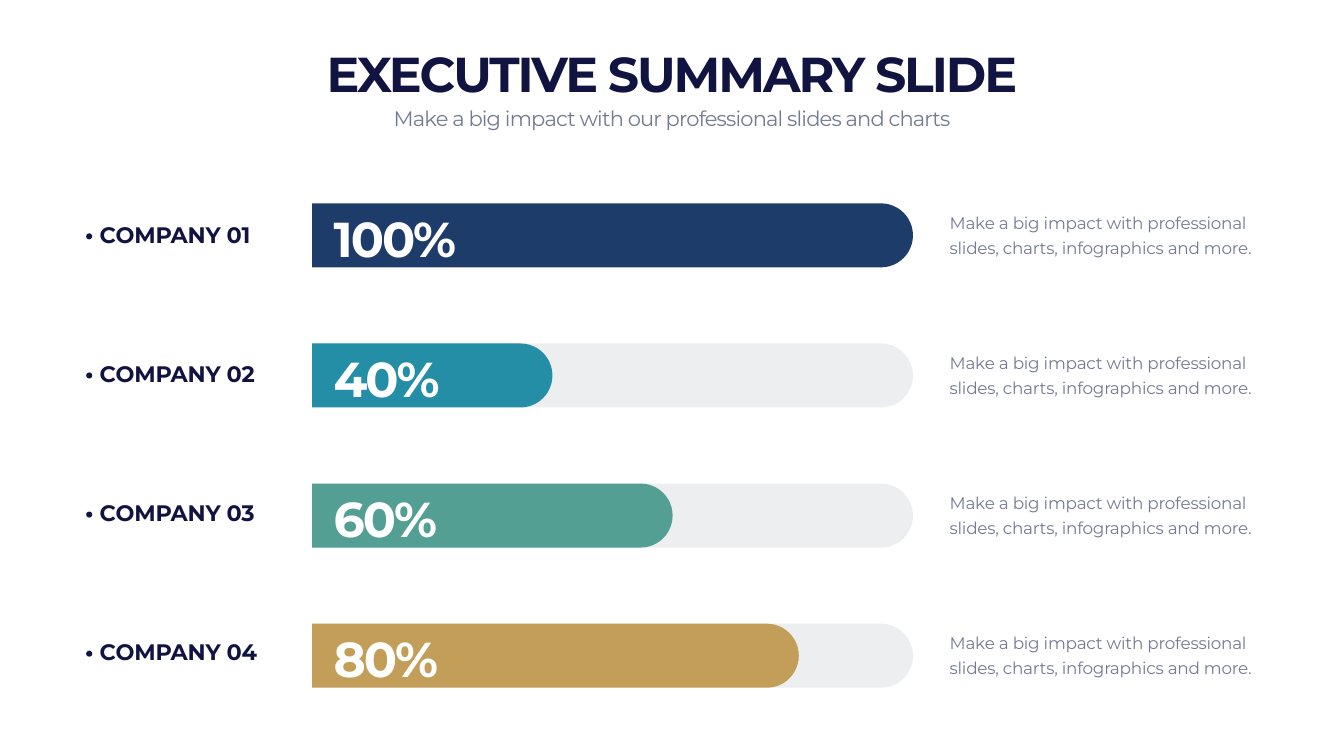
import pptx
import pptx.dml.color
import pptx.enum.shapes
import pptx.enum.text
import pptx.oxml.ns
import pptx.util
from lxml import etree

SLIDE_WIDTH, SLIDE_HEIGHT = 26.66, 15
NAVY, GREY, WHITE, TRACK = "111340", "747A94", "FFFFFF", "C3C8CE"
FIRST_ROW, ROW_PITCH = 4.67, 2.78
FIRST_LABEL, LABEL_PITCH = 4.65, 2.76
BAR_LEFT, BAR_LENGTH, BAR_HEIGHT = 6.19, 11.92, 1.27
DOT_SIZE = 0.12
MARGIN = 1.65
DESCRIPTION = "Make a big impact with professional slides, charts, infographics and more."
HEADLINE = dict(size=70, bold=True, spacing=-2.9, line=94)
COMPANIES = [
    ("COMPANY 01", "100%", 1, "1E3C69"),
    ("COMPANY 02", "40%", 0.4, "248EA6"),
    ("COMPANY 03", "60%", 0.6, "549F93"),
    ("COMPANY 04", "80%", 0.81, "C29E59"),
]


def rgb(value):
    """Turn a hex string into a colour."""
    return pptx.dml.color.RGBColor.from_string(value)


def box(left, middle, width, height):
    """Return the frame of a box centred vertically on a line."""
    return [pptx.util.Inches(n) for n in (left, middle - height / 2, width, height)]


def write(shape, text, size=24, color=NAVY, bold=False, spacing=-0.3,
          line=None, align="LEFT", anchor="MIDDLE"):
    """Put formatted text into a shape."""
    frame = shape.text_frame
    frame.word_wrap = True
    frame.auto_size = pptx.enum.text.MSO_AUTO_SIZE.NONE
    frame.vertical_anchor = pptx.enum.text.MSO_ANCHOR[anchor]
    paragraph = frame.paragraphs[0]
    paragraph.alignment = pptx.enum.text.PP_ALIGN[align]
    if line:
        paragraph.line_spacing = pptx.util.Pt(line)
    run = paragraph.add_run()
    run.text = text
    run.font.name = "Montserrat"
    run.font.size = pptx.util.Pt(size)
    run.font.bold = bold
    run.font.color.rgb = rgb(color)
    run._r.get_or_add_rPr().set("spc", str(round(spacing * 100)))


def add_text(slide, frame, text, **style):
    """Add a text box with formatted text."""
    write(slide.shapes.add_textbox(*frame), text, **style)


def paint(shape, color, opacity=None):
    """Give a shape a plain fill without line or shadow."""
    shape.shadow.inherit = False
    shape.line.fill.background()
    shape.fill.solid()
    shape.fill.fore_color.rgb = rgb(color)
    if opacity is not None:
        solid = shape._element.spPr.find(pptx.oxml.ns.qn("a:solidFill"))
        alpha = etree.SubElement(solid[0], pptx.oxml.ns.qn("a:alpha"))
        alpha.set("val", str(round(opacity * 100000)))


def add_bar(slide, middle, share, color, opacity=None):
    """Add a bar with a rounded right end."""
    length = BAR_LENGTH * share
    left = BAR_LEFT + (length - BAR_HEIGHT) / 2
    shape = slide.shapes.add_shape(
        pptx.enum.shapes.MSO_SHAPE.ROUND_2_SAME_RECTANGLE,
        *box(left, middle, BAR_HEIGHT, length))
    shape.adjustments[0] = 0.5
    shape.adjustments[1] = 0
    shape.rotation = 90
    paint(shape, color, opacity)


def add_label(slide, middle, name):
    """Add a company name with its dot."""
    dot = slide.shapes.add_shape(
        pptx.enum.shapes.MSO_SHAPE.OVAL, *box(1.71, middle + 0.04, DOT_SIZE, DOT_SIZE))
    paint(dot, NAVY)
    add_text(slide, box(1.88, middle, 3.88, 0.64), name, size=32, bold=True)


def add_heading(slide):
    """Fill the title and add the subtitle."""
    title = slide.shapes.title
    width = SLIDE_WIDTH - 2 * MARGIN
    title.left, title.top, title.width, title.height = box(MARGIN, 1.4, width, 1.38)
    write(title, "EXECUTIVE SUMMARY SLIDE", align="CENTER", anchor="BOTTOM", **HEADLINE)
    add_text(slide, box(MARGIN, 2.355, width, 0.61),
             "Make a big impact with our professional slides and charts",
             size=30, color=GREY, spacing=-1.2, align="CENTER", anchor="TOP")


def add_company(slide, row, name, percent, share, color):
    """Add one row: label, bar, percentage and description."""
    middle = FIRST_ROW + row * ROW_PITCH
    if share < 1:
        add_bar(slide, middle, 1, TRACK, 0.3)
    add_bar(slide, middle, share, color)
    add_label(slide, FIRST_LABEL + row * LABEL_PITCH, name)
    add_text(slide, box(6.52, middle - 0.02, 3.37, 1.38), percent, color=WHITE, **HEADLINE)
    add_text(slide, box(18.74, middle - 0.06, 6.25, 1.08), DESCRIPTION, color=GREY, line=36)


def main():
    """Build and save the slide."""
    presentation = pptx.Presentation()
    presentation.slide_width = pptx.util.Inches(SLIDE_WIDTH)
    presentation.slide_height = pptx.util.Inches(SLIDE_HEIGHT)
    slide = presentation.slides.add_slide(presentation.slide_layouts[5])
    add_heading(slide)
    for row, company in enumerate(COMPANIES):
        add_company(slide, row, *company)
    presentation.save("out.pptx")


if __name__ == "__main__":
    main()
